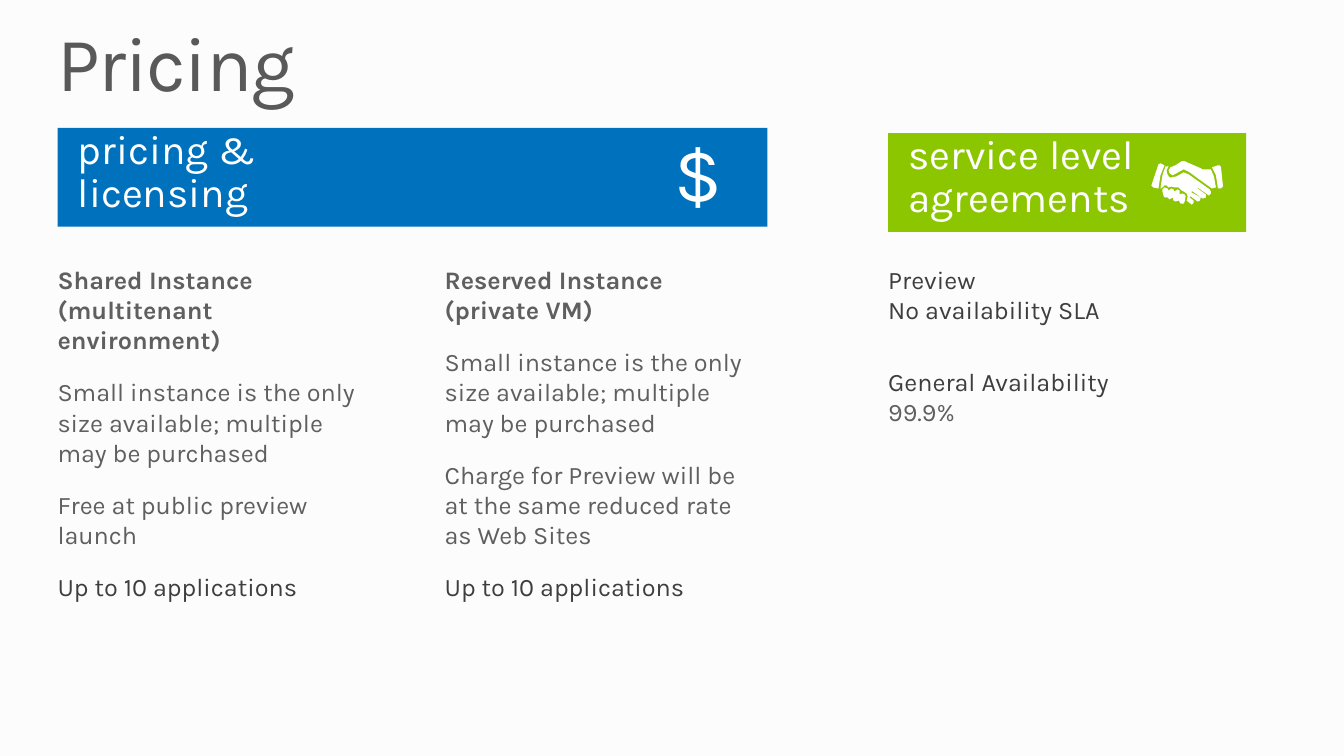
"""Build the pricing slide: two headed sections, three text columns and a handshake icon."""
from pptx import Presentation, util as u
from pptx.dml.color import RGBColor
from pptx.enum import shapes, text

COLORS = {"page": "FCFCFC", "title": "595959", "blue": "0071BC", "green": "8CC600",
          "white": "FFFFFF", "dark": "3E3E3E", "gray": "5F5F5F"}
MARGIN, SECOND, THIRD = 4.28, 33.08, 66.09
SLA_WIDTH, PLAN_WIDTH, BODY_TOP = 26.63, 23.56, 34.93

deck = Presentation()
deck.slide_width, deck.slide_height = u.Inches(13.33), u.Inches(7.5)
slide = deck.slides.add_slide(deck.slide_layouts[6])
slide.background.fill.solid()
slide.background.fill.fore_color.rgb = RGBColor.from_string(COLORS["page"])


def area(left, top, width, height):
    """Turn percentages of the slide into lengths."""
    across, down = deck.slide_width / 100, deck.slide_height / 100
    return [u.Emu(round(n)) for n in (left * across, top * down, width * across, height * down)]


def write(frame, paragraphs, size, insets=(0, 0, 0, 0), line=1.0, gap=0, align=text.PP_ALIGN.LEFT):
    """Fill a frame with paragraphs, each a list of (text, color, bold) runs."""
    frame.word_wrap = True
    frame.margin_left, frame.margin_top, frame.margin_right, frame.margin_bottom = map(u.Inches, insets)
    for index, pieces in enumerate(paragraphs):
        paragraph = frame.add_paragraph() if index else frame.paragraphs[0]
        paragraph.alignment, paragraph.line_spacing = align, line
        paragraph.space_before = u.Pt(gap if index else 0)
        paragraph.space_after = u.Pt(12 if gap else 0)
        for words, color, bold in pieces:
            for number, part in enumerate(words.split("\n")):
                if number:
                    paragraph.add_line_break()
                if part:
                    run = paragraph.add_run()
                    run.text = part
                    run.font.name, run.font.size, run.font.bold = "Karla", u.Pt(size), bold
                    run.font.color.rgb = RGBColor.from_string(COLORS[color])


title = slide.shapes.add_textbox(*area(MARGIN, 3.33, 91.45, 11.07)).text_frame
write(title, [[("Pricing", "title", False)]], 55, line=0.9)
title.paragraphs[0].runs[0].font._element.set("spc", "-100")

for heading, color, left, top, width in [
        ("pricing &\nlicensing", "blue", MARGIN, 16.93, 52.81),
        ("service level agreements", "green", THIRD, 17.6, SLA_WIDTH)]:
    banner = slide.shapes.add_shape(shapes.MSO_SHAPE.RECTANGLE, *area(left, top, width, 13.07))
    banner.shadow.inherit = False
    banner.fill.solid()
    banner.fill.fore_color.rgb = RGBColor.from_string(COLORS[color])
    banner.line.fill.background()
    banner.text_frame.vertical_anchor = text.MSO_ANCHOR.BOTTOM
    write(banner.text_frame, [[(heading, "white", False)]], 29, (0.2, 0.1, 0.1, 0.1), 0.9)

dollar = slide.shapes.add_textbox(*area(50.19, 18, 3.08, 10.93)).text_frame
write(dollar, [[("$", "white", False)]], 54, line=0.9, align=text.PP_ALIGN.CENTER)

handshake = {
    "hand": [(58, 28), (37, 13), (32, 11), (25, 15), (20, 16), (18, 16), (16, 13), (15, 9),
             (17, 5), (14, 5), (11, 14), (9, 27), (10, 27), (13, 24), (15, 24), (17, 26),
             (20, 25), (23, 26), (27, 26), (30, 29), (32, 30), (35, 32), (36, 35), (35, 39),
             (40, 43), (42, 41), (42, 39), (38, 36), (38, 35), (39, 35), (46, 40), (48, 39),
             (49, 36), (40, 31), (40, 30), (41, 30), (51, 37), (54, 36), (54, 33), (46, 27),
             (46, 26), (57, 34), (59, 32), (59, 30)],
    "thumb": [(51, 8), (49, 7), (33, 0), (30, 0), (24, 4), (19, 6), (17, 9), (18, 12), (21, 14),
              (23, 13), (32, 8), (38, 11), (46, 17), (60, 27), (64, 26), (62, 15), (59, 8)],
    "fingers": [(31, 32), (28, 33), (28, 31), (28, 29), (26, 28), (23, 30), (22, 28), (20, 27),
                (17, 29), (16, 27), (13, 26), (11, 28), (11, 30), (12, 34), (13, 36), (16, 36),
                (18, 38), (21, 36), (22, 39), (24, 40), (27, 39), (29, 42), (32, 42), (33, 40),
                (34, 35), (33, 33)],
    "right cuff": [(71, 25), (69, 6), (68, 4), (66, 4), (60, 6), (64, 14), (66, 27), (69, 27)],
    "left cuff": [(13, 4), (9, 2), (7, 3), (0, 24), (2, 26), (7, 27), (9, 14)],
}
for outline in handshake.values():
    builder = slide.shapes.build_freeform(*outline[0], scale=u.Inches(0.01))
    builder.add_line_segments(outline[1:], close=True)
    piece = builder.convert_to_shape(u.Inches(11.42), u.Inches(1.6))
    piece.shadow.inherit = False
    piece.fill.solid()
    piece.fill.fore_color.rgb = RGBColor.from_string(COLORS["white"])
    piece.line.fill.background()

agreements = slide.shapes.add_textbox(*area(THIRD, BODY_TOP, SLA_WIDTH, 21.73)).text_frame
write(agreements, [[("Preview\nNo availability SLA", "dark", False)],
                   [("General Availability\n", "dark", False), ("99.9%", "gray", False)]],
      18, gap=18)

for left, height, plan, charge in [
        (MARGIN, 37.47, "Shared Instance\n(multitenant environment)", "Free at public preview launch"),
        (SECOND, 45.47, "Reserved Instance\n(private VM)",
         "Charge for Preview will be at the same reduced rate as Web Sites")]:
    column = slide.shapes.add_textbox(*area(left, BODY_TOP, PLAN_WIDTH, height)).text_frame
    write(column, [[(plan, "gray", True)],
                   [("Small instance is the only size available; multiple may be purchased", "gray", False)],
                   [(charge, "gray", False)],
                   [("Up to 10 applications", "dark", False)]], 18, gap=3.6)

deck.save("out.pptx")
